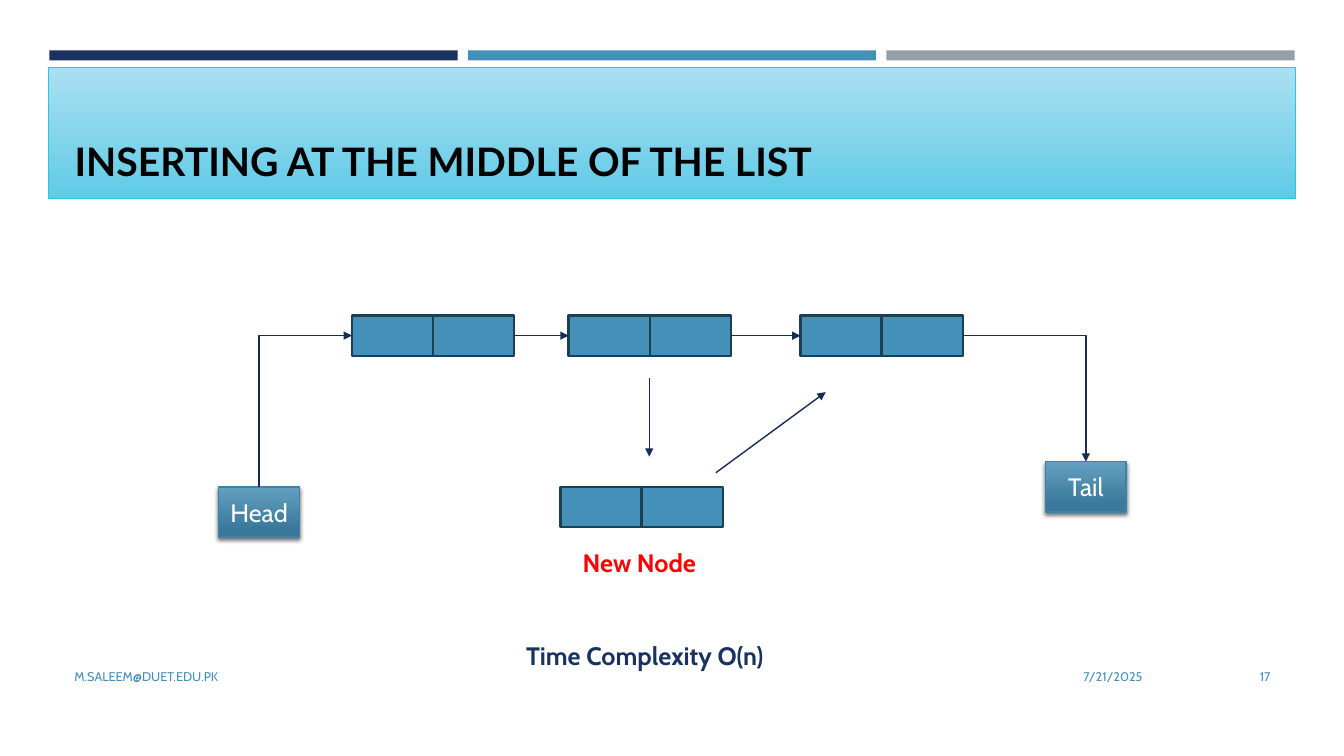
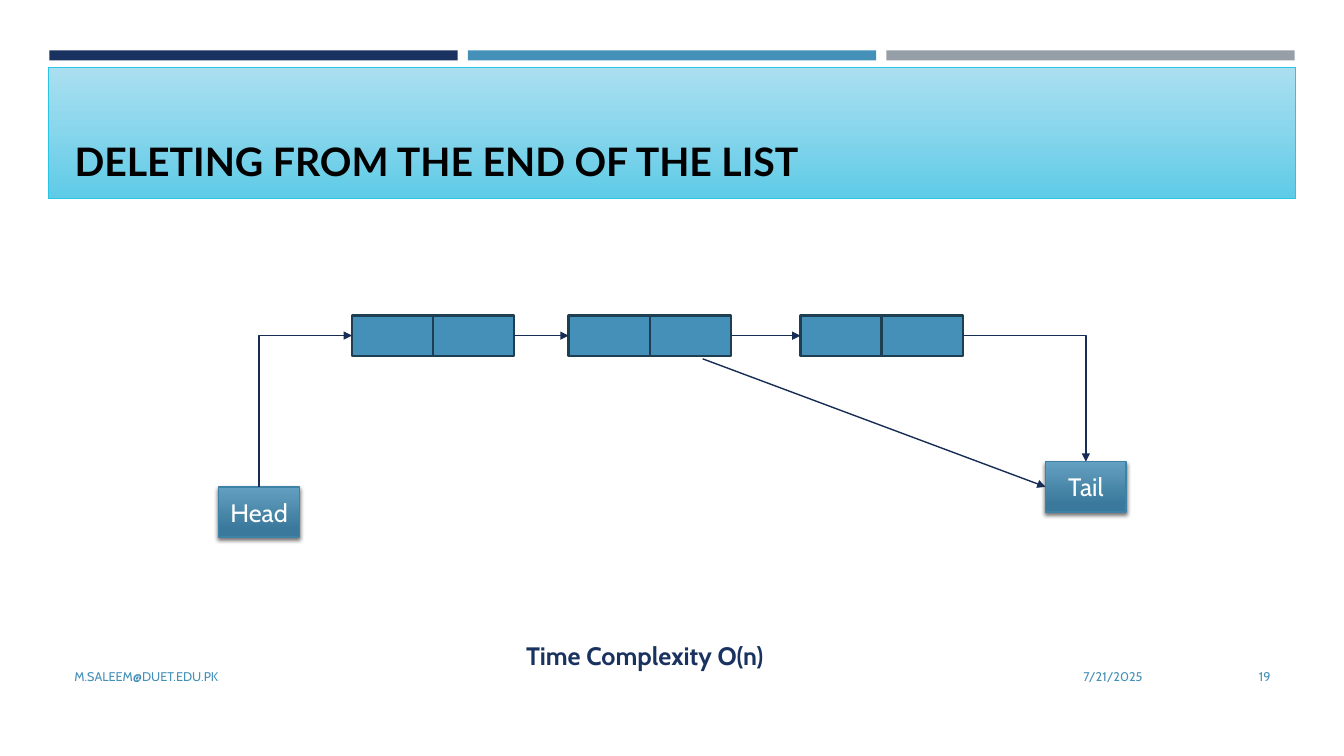
"""Build two slides on linked list insertion and deletion."""
from dataclasses import dataclass
from typing import NamedTuple

from lxml.etree import SubElement
from pptx import Presentation
from pptx.dml.color import RGBColor
from pptx.enum.shapes import MSO_CONNECTOR, MSO_SHAPE
from pptx.enum.text import MSO_ANCHOR, MSO_AUTO_SIZE, PP_ALIGN
from pptx.oxml.ns import qn
from pptx.util import Inches, Pt

NAVY, BLUE, GREY = "1A3260", "4590B8", "969FA7"
CELL_LINE, ARROW, RED, WHITE, BLACK = "1E3F51", "172D56", "FF0000", "FFFFFF", "000000"
PANEL_LINE, BOX_LINE = "2AC4E5", "3E82A6"
BODY_FONT, TITLE_FONT = "Cabin", "Lato"
TOP, LEFT, BOTTOM, RIGHT = range(4)
NODE_WIDTH, NODE_HEIGHT, NODE_TOP = 1.61, 0.4, 3.13
NODE_LEFTS = (3.49, 5.64, 7.94)


class Area(NamedTuple):
    """Place and size in inches."""

    left: float
    top: float
    width: float
    height: float

    def lengths(self) -> list:
        """Return the four values as lengths."""
        return [Inches(value) for value in self]


class Stop(NamedTuple):
    """One stop of a gradient."""

    position: float
    color: str


@dataclass(frozen=True)
class FooterItem:
    """One text of the footer row."""

    text: str
    left: float
    width: float
    align: PP_ALIGN


@dataclass(frozen=True)
class PointerBox:
    """A labelled box that points into the list."""

    text: str
    left: float
    top: float


TITLE_AREA = Area(0.64, 0.77, 12.06, 1.11)
PANEL_AREA = Area(0.48, 0.67, 12.37, 1.3)
PANEL_STOPS = (Stop(0, "A2DDF0"), Stop(1, "5FCCE8"))
BOX_STOPS = (Stop(0, "639FC1"), Stop(0.84, "3A799B"))
HEAD = PointerBox("Head", 2.17, 4.83)
TAIL = PointerBox("Tail", 10.37, 4.58)


def rgb(color: str) -> RGBColor:
    """Turn a hex string into a colour."""
    return RGBColor.from_string(color)


def write_text(shape, text: str, *, size: float, color: str, font: str = BODY_FONT,
               bold: bool = False, align=PP_ALIGN.LEFT, anchor=MSO_ANCHOR.TOP,
               wrap: bool = True, fit=MSO_AUTO_SIZE.NONE) -> None:
    """Put formatted text into a shape."""
    frame = shape.text_frame
    frame.text = text
    frame.word_wrap = wrap
    frame.auto_size = fit
    frame.vertical_anchor = anchor
    paragraph = frame.paragraphs[0]
    paragraph.alignment = align
    paragraph.font.size = Pt(size)
    paragraph.font.name = font
    paragraph.font.bold = bold
    paragraph.font.color.rgb = rgb(color)


def add_text(shapes, area: Area, text: str, **text_format):
    """Add a text box."""
    box = shapes.add_textbox(*area.lengths())
    write_text(box, text, **text_format)
    return box


def add_rectangle(shapes, area: Area, *, fill: str = "", stops: tuple = (),
                  line: str = "", line_width: float = 1):
    """Add a rectangle with a plain or gradient fill."""
    shape = shapes.add_shape(MSO_SHAPE.RECTANGLE, *area.lengths())
    shape.shadow.inherit = False
    if stops:
        shape.fill.gradient()
        shape.fill.gradient_angle = 270
        for target, stop in zip(shape.fill.gradient_stops, stops):
            target.position = stop.position
            target.color.rgb = rgb(stop.color)
    else:
        shape.fill.solid()
        shape.fill.fore_color.rgb = rgb(fill)
    if line:
        shape.line.color.rgb = rgb(line)
        shape.line.width = Pt(line_width)
    else:
        shape.line.fill.background()
    return shape


def add_alpha(color_element, percent: int) -> None:
    """Set the opacity of a colour element."""
    SubElement(color_element, qn("a:alpha"), val=str(percent * 1000))


def add_drop_shadow(shape) -> None:
    """Give a shape a soft shadow below it."""
    effects = shape.element.spPr.find(qn("a:effectLst"))
    shadow = SubElement(effects, qn("a:outerShdw"), blurRad=str(Pt(3)), dist=str(Pt(2)),
                        dir="5400000", algn="ctr", rotWithShape="0")
    add_alpha(SubElement(shadow, qn("a:srgbClr"), val=BLACK), 55)


def add_frame(slide) -> None:
    """Draw the bands and title panel and move them to the layout."""
    bands = [add_rectangle(slide.shapes, Area(0.49 + 4.15 * index, 0.5, 4.05, 0.1), fill=color)
             for index, color in enumerate((NAVY, BLUE, GREY))]
    panel = add_rectangle(slide.shapes, PANEL_AREA, stops=PANEL_STOPS, line=PANEL_LINE)
    add_alpha(panel.element.xpath(".//a:gs/a:srgbClr")[0], 90)
    for number, shape in enumerate([*bands, panel], start=101):
        shape.element.nvSpPr.cNvPr.id = number
        slide.slide_layout.shapes.element.append(shape.element)


def add_title(slide, text: str) -> None:
    """Place and format the title placeholder."""
    title = slide.shapes.title
    title.left, title.top, title.width, title.height = TITLE_AREA.lengths()
    write_text(title, text, size=28, color=BLACK, font=TITLE_FONT, bold=True,
               anchor=MSO_ANCHOR.BOTTOM)


def add_footer(slide, number: int) -> None:
    """Add the footer row."""
    items = (FooterItem("7/21/2025", 8.32, 3.11, PP_ALIGN.RIGHT),
             FooterItem("M.SALEEM@DUET.EDU.PK", 0.64, 7.56, PP_ALIGN.LEFT),
             FooterItem(str(number), 11.55, 1.15, PP_ALIGN.RIGHT))
    for item in items:
        add_text(slide.shapes, Area(item.left, 6.51, item.width, 0.4), item.text, size=9,
                 color=BLUE, align=item.align, anchor=MSO_ANCHOR.MIDDLE)


def add_node(slide, left: float, top: float, label: str = "") -> tuple:
    """Add a grouped node and return its two cells."""
    group = slide.shapes.add_group_shape()
    width = NODE_WIDTH / 2
    cells = tuple(add_rectangle(group.shapes, Area(left + width * index, top, width, NODE_HEIGHT),
                                fill=BLUE, line=CELL_LINE, line_width=1.75)
                  for index in range(2))
    if label:
        add_text(group.shapes, Area(left + 0.12, top + 0.55, 1.47, 0.4), label, size=18,
                 color=RED, bold=True, wrap=False, fit=MSO_AUTO_SIZE.SHAPE_TO_FIT_TEXT)
    return cells


def add_pointer_box(slide, box: PointerBox):
    """Add a labelled box with a shadow."""
    shape = add_rectangle(slide.shapes, Area(box.left, box.top, 0.8, 0.5),
                          stops=BOX_STOPS, line=BOX_LINE)
    add_drop_shadow(shape)
    write_text(shape, box.text, size=18, color=WHITE, align=PP_ALIGN.CENTER,
               anchor=MSO_ANCHOR.MIDDLE, wrap=False)
    return shape


def add_arrow(slide, start: tuple = (0, 0), end: tuple = (0, 0), *, source=None,
              target=None, kind=MSO_CONNECTOR.STRAIGHT):
    """Add an arrow between points, or between (shape, side) pairs."""
    points = [Inches(value) for value in (*start, *end)]
    connector = slide.shapes.add_connector(kind, *points)
    if source:
        connector.begin_connect(*source)
    if target:
        connector.end_connect(*target)
    connector.line.color.rgb = rgb(ARROW)
    connector.line.width = Pt(1)
    SubElement(connector.line._get_or_add_ln(), qn("a:tailEnd"), type="triangle")
    SubElement(connector.element.spPr, qn("a:effectLst"))
    return connector


def add_corner_arrow(slide, source: tuple, target: tuple, *, rising: bool = False) -> None:
    """Add a one-bend arrow, turned when it first rises."""
    connector = add_arrow(slide, source=source, target=target, kind=MSO_CONNECTOR.ELBOW)
    connector.element.spPr.find(qn("a:prstGeom")).set("prst", "bentConnector2")
    if rising:
        width, height = connector.width, connector.height
        connector.left += (width - height) // 2
        connector.top += (height - width) // 2
        connector.width, connector.height = height, width
        connector.rotation = 90
        transform = connector.element.spPr.find(qn("a:xfrm"))
        transform.set("flipH", "1")
        transform.set("flipV", "1")


def add_linked_list(slide):
    """Draw the three linked nodes and return the tail box."""
    nodes = [add_node(slide, left, NODE_TOP) for left in NODE_LEFTS]
    for node, following in zip(nodes, nodes[1:]):
        add_arrow(slide, source=(node[1], RIGHT), target=(following[0], LEFT))
    head = add_pointer_box(slide, HEAD)
    add_corner_arrow(slide, (head, TOP), (nodes[0][0], LEFT), rising=True)
    tail = add_pointer_box(slide, TAIL)
    add_corner_arrow(slide, (nodes[-1][1], RIGHT), (tail, TOP))
    return tail


def start_slide(slide, title: str, number: int):
    """Add what both slides share and return the tail box."""
    add_title(slide, title)
    add_footer(slide, number)
    add_text(slide.shapes, Area(5.12, 6.3, 3.83, 0.4), "Time Complexity O(n)", size=18,
             color=NAVY, bold=True, fit=MSO_AUTO_SIZE.SHAPE_TO_FIT_TEXT)
    return add_linked_list(slide)


def main() -> None:
    """Build and save the presentation."""
    presentation = Presentation()
    presentation.slide_width = Inches(13.33)
    presentation.slide_height = Inches(7.5)
    layout = presentation.slide_layouts.get_by_name("Title Only")
    insertion, deletion = (presentation.slides.add_slide(layout) for _ in range(2))
    add_frame(insertion)

    start_slide(insertion, "INSERTING AT THE MIDDLE OF THE LIST", 17)
    add_node(insertion, 5.56, 4.83, "New Node")
    add_arrow(insertion, (7.1, 4.69), (8.19, 3.89))
    add_arrow(insertion, (6.44, 3.75), (6.44, 4.53))

    tail = start_slide(deletion, "DELETING FROM THE END OF THE LIST", 19)
    add_arrow(deletion, (6.97, 3.56), target=(tail, LEFT))
    presentation.save("out.pptx")


if __name__ == "__main__":
    main()
